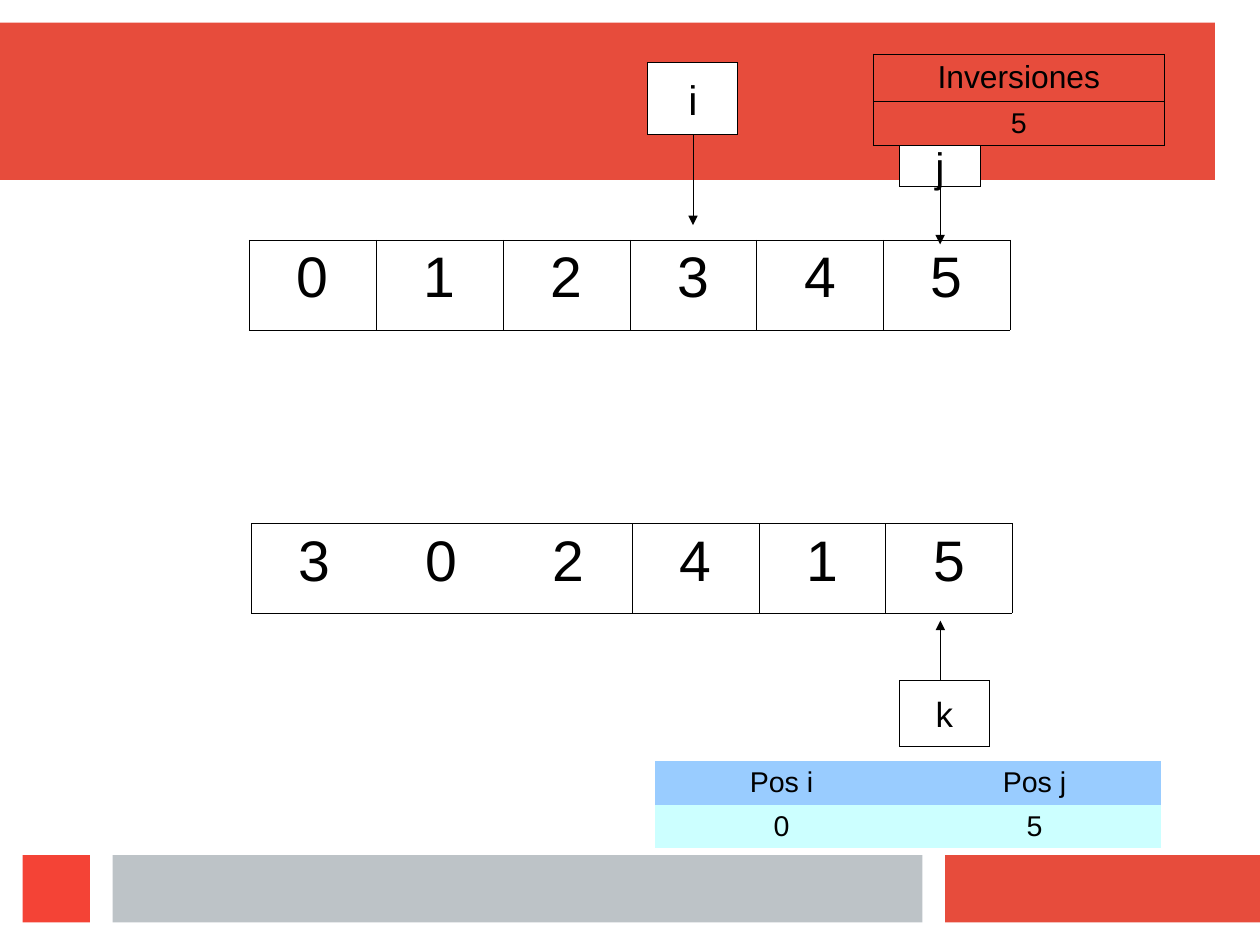
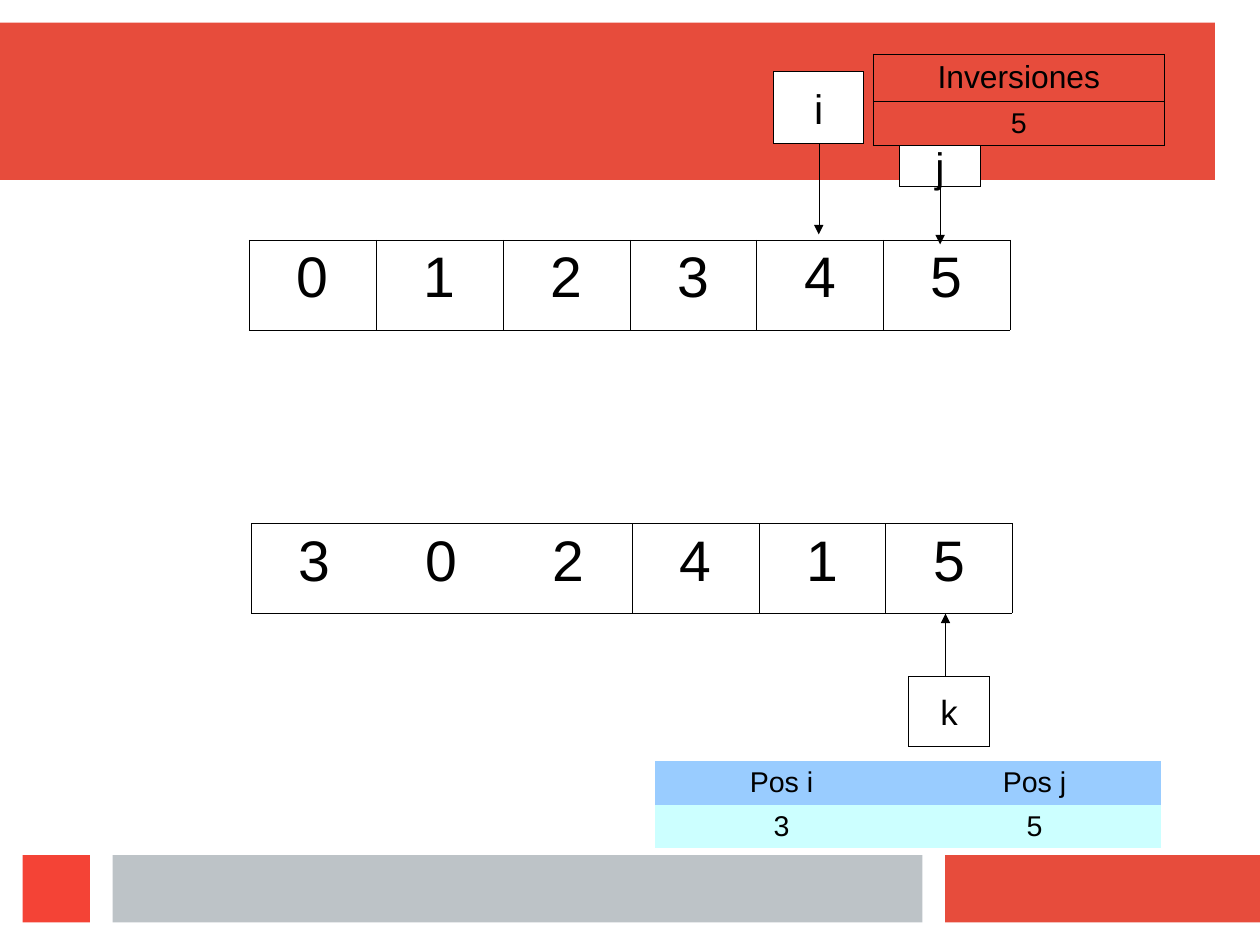
from lxml.etree import SubElement
from pptx import Presentation
from pptx.dml.color import RGBColor
from pptx.enum.shapes import MSO_CONNECTOR, MSO_SHAPE
from pptx.enum.text import MSO_ANCHOR, PP_ALIGN
from pptx.oxml.ns import qn
from pptx.util import Pt

COLORS = {
    "black": "000000", "white": "FFFFFF", "red": "E74C3C", "bright_red": "F44336",
    "gray": "BDC3C7", "header_blue": "99CCFF", "row_blue": "CCFFFF",
}
FONT = "Arial"
SIDES = "LRTB"
TOP, BOTTOM = 0, 2

# Left, top, width, height, colour
BANDS = [
    (0, 14.2, 765.4, 99.2, "red"),
    (595.3, 538.6, 198.4, 42.5, "red"),
    (70.9, 538.6, 510.2, 42.5, "gray"),
    (14.2, 538.6, 42.5, 42.5, "bright_red"),
]

# Pointer boxes (left, top, width, height) and arrow ends that change per slide
STEPS = [
    {"i_box": (408.2, 39.4, 56.7, 45.4), "i_tip": 141.8, "pos_i": "0",
     "k_box": (566.6, 428.6, 56.7, 41.6), "k_x": 592.4, "k_tip": 391},
    {"i_box": (487.4, 45.1, 56.7, 45.4), "i_tip": 147.6, "pos_i": "3",
     "k_box": (572.2, 426.2, 51.2, 44.2), "k_x": 595.6, "k_tip": 386.6},
]


def color(name):
    return RGBColor.from_string(COLORS[name])


def write(tf, text, size=18, ink="black", align=PP_ALIGN.CENTER):
    p = tf.paragraphs[0]
    p.alignment = align
    r = p.add_run()
    r.text = text
    r.font.name = FONT
    r.font.size = Pt(size)
    r.font.color.rgb = color(ink)


def set_hairline(line, ink="black"):
    """Colour a line and give it an explicit zero width; return its element."""
    line.color.rgb = color(ink)
    ln = line._get_or_add_ln()
    ln.set("w", "0")  # line.width = 0 would drop the attribute
    return ln


def add_rect(slide, box, fill, outline=None):
    sp = slide.shapes.add_shape(MSO_SHAPE.RECTANGLE, *map(Pt, box))
    sp.shadow.inherit = False
    sp.fill.solid()
    sp.fill.fore_color.rgb = color(fill)
    if outline:
        set_hairline(sp.line, outline)
    else:
        sp.line.fill.background()
    return sp


def add_pointer_box(slide, text, box, size):
    sp = add_rect(slide, box, "white", outline="black")
    tf = sp.text_frame
    tf.word_wrap = False
    tf.vertical_anchor = MSO_ANCHOR.MIDDLE
    write(tf, text, size=size)
    return sp


def add_arrow(slide, x, start, tip, box):
    """Draw a vertical arrow behind the box that it leaves."""
    cn = slide.shapes.add_connector(
        MSO_CONNECTOR.STRAIGHT, Pt(x), Pt(start), Pt(x), Pt(tip))
    SubElement(set_hairline(cn.line), qn("a:tailEnd"), type="triangle")
    SubElement(cn.element.spPr, qn("a:effectLst"))
    box.element.addprevious(cn.element)
    return cn


def add_down_pointer(slide, text, box, tip):
    left, top, width, height = box
    sp = add_pointer_box(slide, text, box, 26)
    cn = add_arrow(slide, left + width / 2, top + height, tip, sp)
    cn.begin_connect(sp, BOTTOM)


def set_borders(cell, sides, width):
    """Draw the named sides of a cell and clear the others."""
    tc_pr = cell._tc.get_or_add_tcPr()
    for side in SIDES:
        ln = SubElement(tc_pr, qn(f"a:ln{side}"), w=str(Pt(width)))
        if side in sides:
            fill = SubElement(ln, qn("a:solidFill"))
            SubElement(fill, qn("a:srgbClr"), val=COLORS["black"])
        else:
            SubElement(ln, qn("a:noFill"))


def add_grid(slide, left, top, col_width, row_heights, rows, sizes,
             fills=None, border=0.06, sides=None):
    """Add a table; sides maps a column to its borders, else all are drawn."""
    n_cols = len(rows[0])
    frame = slide.shapes.add_table(
        len(rows), n_cols, Pt(left), Pt(top),
        Pt(col_width * n_cols), Pt(sum(row_heights)))
    table = frame.table
    table.first_row = table.horz_banding = False
    for col in table.columns:
        col.width = Pt(col_width)
    for y, texts in enumerate(rows):
        table.rows[y].height = Pt(row_heights[y])
        for x, text in enumerate(texts):
            cell = table.cell(y, x)
            set_borders(cell, (sides or {}).get(x, SIDES), border)
            if fills:
                cell.fill.solid()
                cell.fill.fore_color.rgb = color(fills[y])
            else:
                cell.fill.background()
            write(cell.text_frame, text, size=sizes[y])


def add_array(slide, left, top, digits, sides=None):
    add_grid(slide, left, top, 79.92, [56.6], [digits], [36], sides=sides)


def move_bands_to_layout(slide):
    """Draw the shared bands and hand them to the slide's layout."""
    tree = slide.slide_layout.shapes.element
    for *box, fill in BANDS:
        tree.append(add_rect(slide, box, fill).element)


def build_step(slide, step):
    # Arrays
    add_array(slide, 156.9, 151.2, "012345")
    add_array(slide, 158.3, 329.8, "302415", sides={0: "LTB", 1: "TB", 2: "TRB"})

    # Pointer i
    add_down_pointer(slide, "i", step["i_box"], step["i_tip"])

    # Positions and inversion count
    add_grid(slide, 412.6, 479.5, 159.4, [27.4, 27.4],
             [["Pos i", "Pos j"], [step["pos_i"], "5"]], [18, 18],
             fills=["header_blue", "row_blue"], sides={0: "", 1: ""})
    add_grid(slide, 550.1, 34, 183.5, [30, 27.4],
             [["Inversiones"], ["5"]], [20, 18], border=0.57)

    # Pointers j and k
    add_down_pointer(slide, "j", (566.6, 91.6, 51.2, 26), 154)
    k_box = add_pointer_box(slide, "k", step["k_box"], 22)
    add_arrow(slide, step["k_x"], step["k_box"][1], step["k_tip"], k_box)


def main():
    prs = Presentation()
    prs.slide_width, prs.slide_height = Pt(793.7), Pt(595.3)
    layout = prs.slide_layouts[6]
    for number, step in enumerate(STEPS):
        slide = prs.slides.add_slide(layout)
        if number == 0:
            move_bands_to_layout(slide)
        build_step(slide, step)
    prs.save("out.pptx")


if __name__ == "__main__":
    main()
